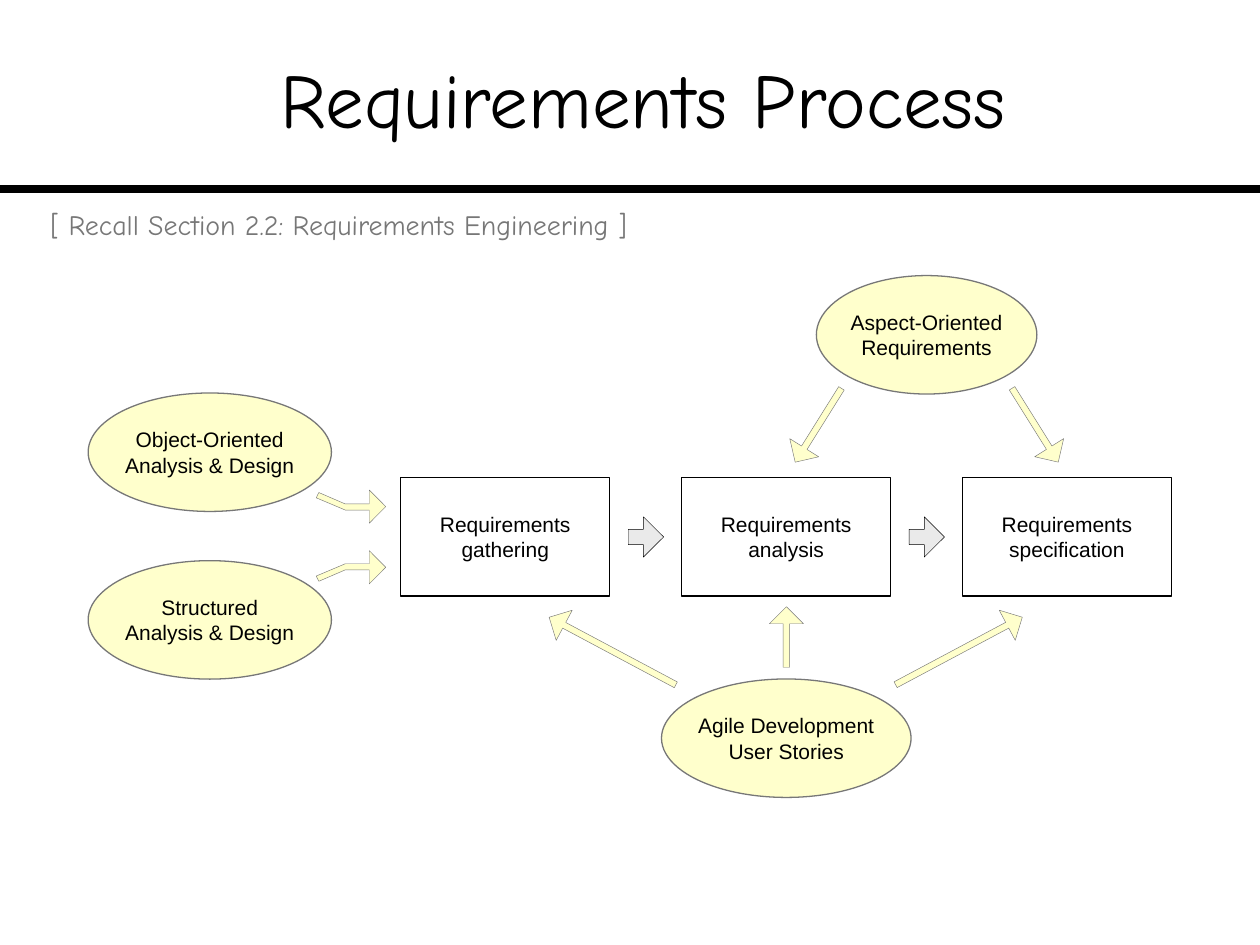
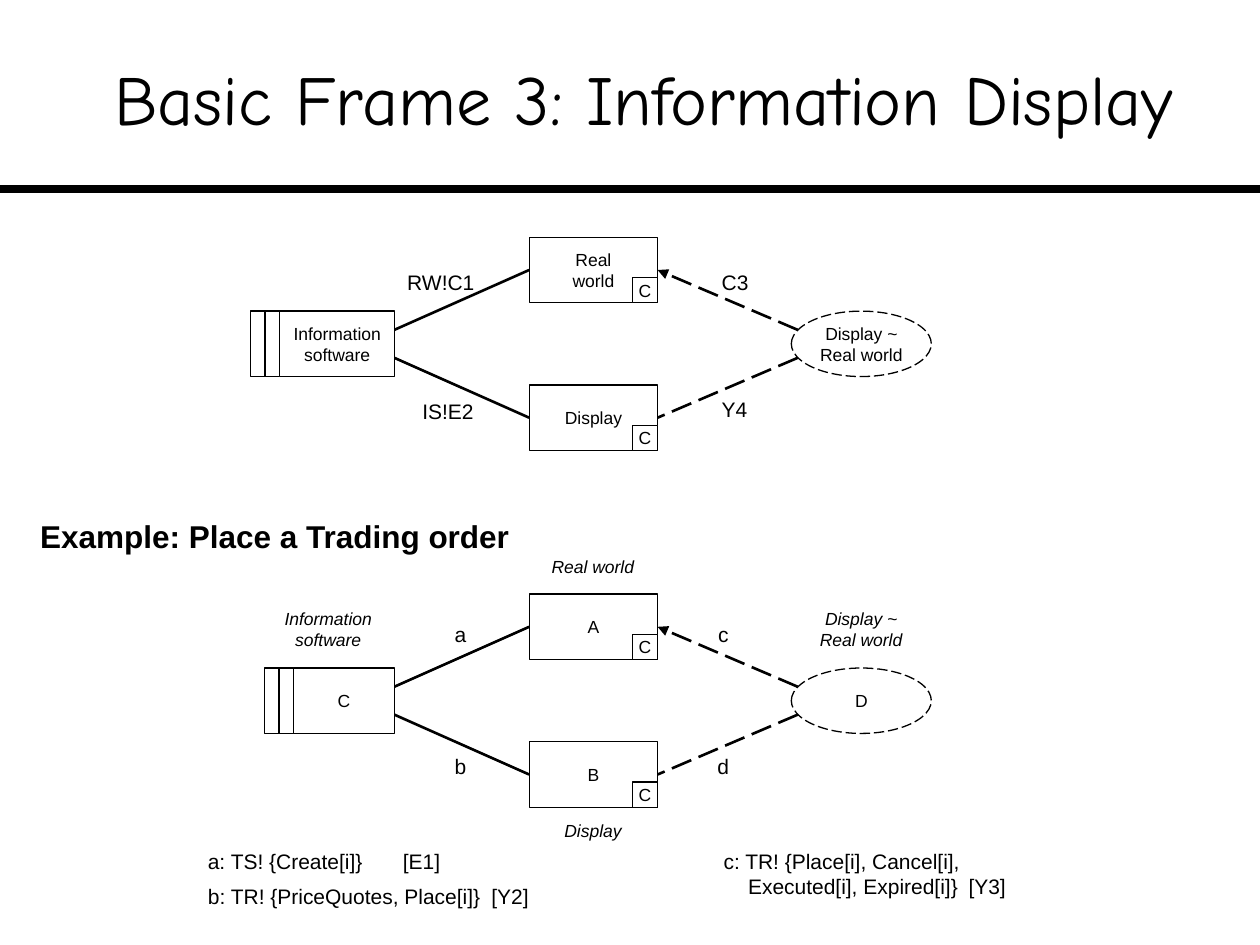
import math

from lxml import etree
from pptx import Presentation
from pptx.dml.color import RGBColor
from pptx.enum.dml import MSO_LINE
from pptx.enum.shapes import MSO_CONNECTOR, MSO_SHAPE
from pptx.enum.text import MSO_ANCHOR, PP_ALIGN
from pptx.oxml.ns import qn
from pptx.util import Pt

RECT, ELLIPSE, ARROW = MSO_SHAPE.RECTANGLE, MSO_SHAPE.OVAL, MSO_SHAPE.RIGHT_ARROW
STRAIGHT, LONG_DASH = MSO_CONNECTOR.STRAIGHT, MSO_LINE.LONG_DASH
LEFT, CENTER = PP_ALIGN.LEFT, PP_ALIGN.CENTER
TOP, MIDDLE = MSO_ANCHOR.TOP, MSO_ANCHOR.MIDDLE

BLACK, WHITE, GREY, PALE_GREY, CREAM = "000000", "FFFFFF", "777777", "EAEAEA", "FFFFCC"
BODY_FONT, TITLE_FONT = "Arial", "Comic Neue"
SLIDE_W, SLIDE_H = 720, 540

# Slide 1: steps run left to right; methods point at them
STEPS = ["Requirements gathering", "Requirements analysis", "Requirements specification"]
STEP_LEFT, STEP_TOP, STEP_W, STEP_H, STEP_PITCH = 229, 273, 119.5, 67.7, 160.5
STEP_MIDDLE = STEP_TOP + STEP_H / 2
METHODS = [  # text, left, top, width
    ("Agile Development User Stories", 378, 388, 142.6),
    ("Aspect-Oriented Requirements", 466.5, 157.5, 126),
    ("Object-Oriented Analysis & Design", 50.4, 224.6, 139),
    ("Structured Analysis & Design", 50.4, 320.4, 139),
]
METHOD_ARROWS = [  # tail, tip
    ((449.4, 381.3), (449.4, 346.7)),
    ((480.8, 221.9), (454.4, 264.1)),
    ((578.3, 221.9), (604.7, 264.1)),
    ((386.2, 391.3), (313.8, 352.7)),
    ((511.8, 391.3), (584.2, 352.7)),
]
BENT_ARROW = [(197.3, 288), (211, 288), (211, 280), (220.4, 289.5), (211, 299),
              (211, 291.5), (197.3, 291.5), (180.7, 284.5), (182.2, 281.5)]
RECALL = "[ Recall Section 2.2: Requirements Engineering ]"

# Slide 2: the general frame and an example of it
FRAMES = [
    dict(middle=196.5, machine="Information software", machine_w=65.5,
         upper="Real\nworld", lower="Display", requirement="Display ~ Real world"),
    dict(middle=400.4, machine="C", machine_w=57.6,
         upper="A", lower="B", requirement="D"),
]
PHENOMENA = [  # text, left, top, width
    ("RW!C1", 231.8, 154, 40.3), ("C3", 411.8, 154, 16.6),
    ("IS!E2", 240.5, 227.5, 31), ("Y4", 411.8, 226.8, 15.8),
    ("a", 259.2, 355, 8), ("c", 409.4, 355, 8),
    ("b", 259.2, 430.6, 8), ("d", 409.2, 430.6, 8),
]
ROLES = [  # text, left, top, width
    ("Information\nsoftware", 162, 347.6, 51), ("Real world", 314.7, 317.5, 48.2),
    ("Display ~\nReal world", 468, 347.6, 48.2), ("Display", 322, 468.7, 33.8),
]
EXAMPLE = "Example: Place a Trading order"
NOTES = [  # text, left, top, width, tab stops
    ("a: TS! {Create[i]}\t[E1]", 118.8, 484.6, 134.6, [111.5]),
    ("b: TR! {PriceQuotes, Place[i]}\t[Y2]", 118.8, 504.7, 185.8, [162]),
    ("c: TR! {Place[i], Cancel[i],\n\tExecuted[i], Expired[i]}\t[Y3]",
     413.5, 484.6, 163.4, [14, 140]),
]


def rgb(color):
    return RGBColor.from_string(color)


def write(item, text, size, color=BLACK, font=BODY_FONT, align=CENTER, anchor=MIDDLE,
          margin=0, wrap=True, bold=False, italic=False):
    frame = item.text_frame
    frame.text = text
    frame.word_wrap = wrap
    frame.vertical_anchor = anchor
    frame.margin_left = frame.margin_right = Pt(margin)
    frame.margin_top = frame.margin_bottom = 0
    for paragraph in frame.paragraphs:
        paragraph.alignment = align
        for run in paragraph.runs:
            run.font.size, run.font.name = Pt(size), font
            run.font.bold, run.font.italic = bold, italic
            run.font.color.rgb = rgb(color)


def label(slide, text, left, top, width, size=12, **style):
    """Add an unwrapped text box, as high as its lines."""
    height = 1.2 * size * (text.count("\n") + 1)
    box = slide.shapes.add_textbox(Pt(left), Pt(top), Pt(width), Pt(height))
    write(box, text, size, **{"anchor": TOP, "wrap": False, **style})
    return box


def paint(item, fill, line, weight):
    item.shadow.inherit = False
    item.fill.solid()
    item.fill.fore_color.rgb = rgb(fill)
    item.line.color.rgb = rgb(line)
    item.line.width = Pt(weight)


def shape(slide, kind, left, top, width, height, fill=WHITE, line=BLACK, weight=0.75):
    item = slide.shapes.add_shape(kind, Pt(left), Pt(top), Pt(width), Pt(height))
    paint(item, fill, line, weight)
    return item


def connect(slide, start, end, weight=1.5, dashed=False, arrow=False):
    line = slide.shapes.add_connector(STRAIGHT, *map(Pt, start + end))
    line.line.color.rgb = rgb(BLACK)
    line.line.width = Pt(weight)
    if dashed:
        line.line.dash_style = LONG_DASH
    if arrow:
        etree.SubElement(line.line._get_or_add_ln(), qn("a:tailEnd"), type="triangle")
    etree.SubElement(line._element.spPr, qn("a:effectLst"))


def block_arrow(slide, tail, tip, thickness, shaft, head, **style):
    """Add a block arrow from tail to tip, turned to its direction."""
    dx, dy = tip[0] - tail[0], tip[1] - tail[1]
    length = math.hypot(dx, dy)
    left, top = (tail[0] + tip[0] - length) / 2, (tail[1] + tip[1] - thickness) / 2
    arrow = shape(slide, ARROW, left, top, length, thickness, weight=0.25, **style)
    arrow.adjustments[0], arrow.adjustments[1] = shaft, head
    arrow.rotation = math.degrees(math.atan2(dy, dx)) % 360


def bent_arrow(slide, points):
    start, *rest = [(Pt(x), Pt(y)) for x, y in points]
    builder = slide.shapes.build_freeform(*start)
    builder.add_line_segments(rest, close=True)
    paint(builder.convert_to_shape(), CREAM, GREY, 0.25)


def set_tabs(box, stops):
    for paragraph in box.text_frame.paragraphs:
        tabs = etree.SubElement(paragraph._p.get_or_add_pPr(), qn("a:tabLst"))
        for stop in stops:
            etree.SubElement(tabs, qn("a:tab"), pos=str(Pt(stop)), algn="l")


def titled_slide(deck, title, size):
    slide = deck.slides.add_slide(deck.slide_layouts[6])
    connect(slide, (0, 108), (SLIDE_W, 108), weight=4.5)
    box = slide.shapes.add_textbox(Pt(30), Pt(10.8), Pt(675.4), Pt(90))
    write(box, title, size, font=TITLE_FONT)
    return slide


def process_slide(deck):
    slide = titled_slide(deck, "Requirements Process", 44)
    for i, step in enumerate(STEPS):
        left = STEP_LEFT + i * STEP_PITCH
        write(shape(slide, RECT, left, STEP_TOP, STEP_W, STEP_H), step, 12, margin=7)
        if i:
            block_arrow(slide, (left - 30.5, STEP_MIDDLE), (left - 10.3, STEP_MIDDLE),
                        23, 0.38, 0.57, fill=PALE_GREY)
    for method, left, top, width in METHODS:
        oval = shape(slide, ELLIPSE, left, top, width, STEP_H, CREAM, GREY)
        write(oval, method, 12)
    for tail, tip in METHOD_ARROWS:
        block_arrow(slide, tail, tip, 19.5, 0.19, 0.5, fill=CREAM, line=GREY)
    bent_arrow(slide, BENT_ARROW)
    bent_arrow(slide, [(x, 2 * STEP_MIDDLE - y) for x, y in BENT_ARROW])
    label(slide, RECALL, 28.8, 118.8, 329.8, 16, color=GREY, font=TITLE_FONT, align=LEFT)


def problem_frame(slide, middle, machine, machine_w, upper, lower, requirement):
    """Draw a machine, its two domains and the requirement around a middle line."""
    box_h, domain_left, domain_w, tag = 37.4, 302.4, 73.4, 14.4
    machine_right, stripe = 225.4, 8.4
    domain_right, top = domain_left + domain_w, middle - box_h / 2
    for domain, side in ((upper, -1), (lower, 1)):
        inner, outer = middle + side * 8, middle + side * 42.2
        connect(slide, (machine_right, inner), (domain_left, outer))
        connect(slide, (455.8, inner), (domain_right, outer), dashed=True, arrow=side < 0)
        box = shape(slide, RECT, domain_left, outer - box_h / 2, domain_w, box_h)
        write(box, domain, 10, margin=7)
        corner = shape(slide, RECT, domain_right - tag, outer + box_h / 2 - tag, tag, tag)
        write(corner, "C", 10, wrap=False)
    machine_left = machine_right - machine_w
    write(shape(slide, RECT, machine_left, top, machine_w, box_h), machine, 10, margin=7)
    shape(slide, RECT, machine_left - 2 * stripe, top, 2 * stripe, box_h)
    stripe_x = machine_left - stripe
    connect(slide, (stripe_x, top), (stripe_x, top + box_h), weight=0.75)
    oval = shape(slide, ELLIPSE, 452.2, top, 80, box_h)
    oval.line.dash_style = LONG_DASH
    write(oval, requirement, 10)


def frame_slide(deck):
    slide = titled_slide(deck, "Basic Frame 3: Information Display", 40)
    for frame in FRAMES:
        problem_frame(slide, **frame)
    for phenomenon in PHENOMENA:
        label(slide, *phenomenon)
    for role in ROLES:
        label(slide, *role, size=10, italic=True)
    label(slide, EXAMPLE, 23, 295.2, 270.7, 18, align=LEFT, bold=True)
    for *note, stops in NOTES:
        set_tabs(label(slide, *note, align=LEFT), stops)


def main():
    deck = Presentation()
    deck.slide_width, deck.slide_height = Pt(SLIDE_W), Pt(SLIDE_H)
    process_slide(deck)
    frame_slide(deck)
    deck.save("out.pptx")


if __name__ == "__main__":
    main()
